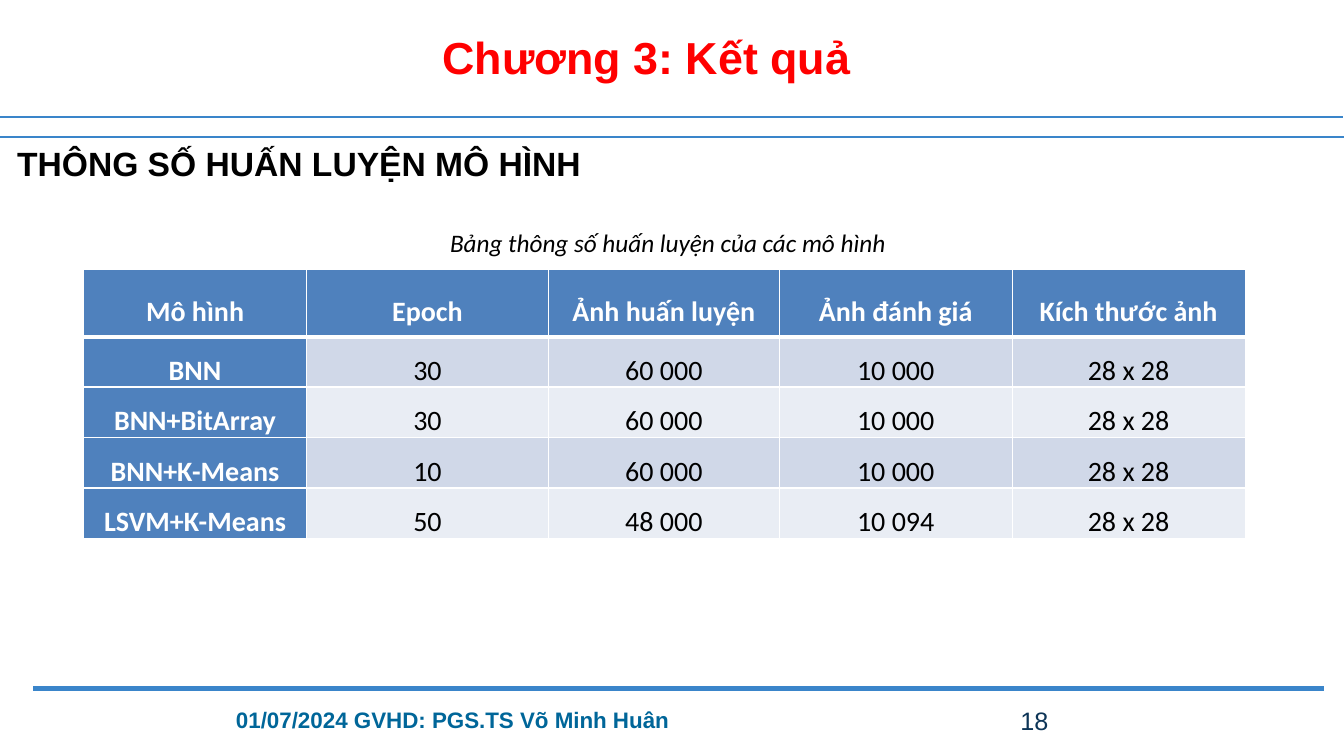
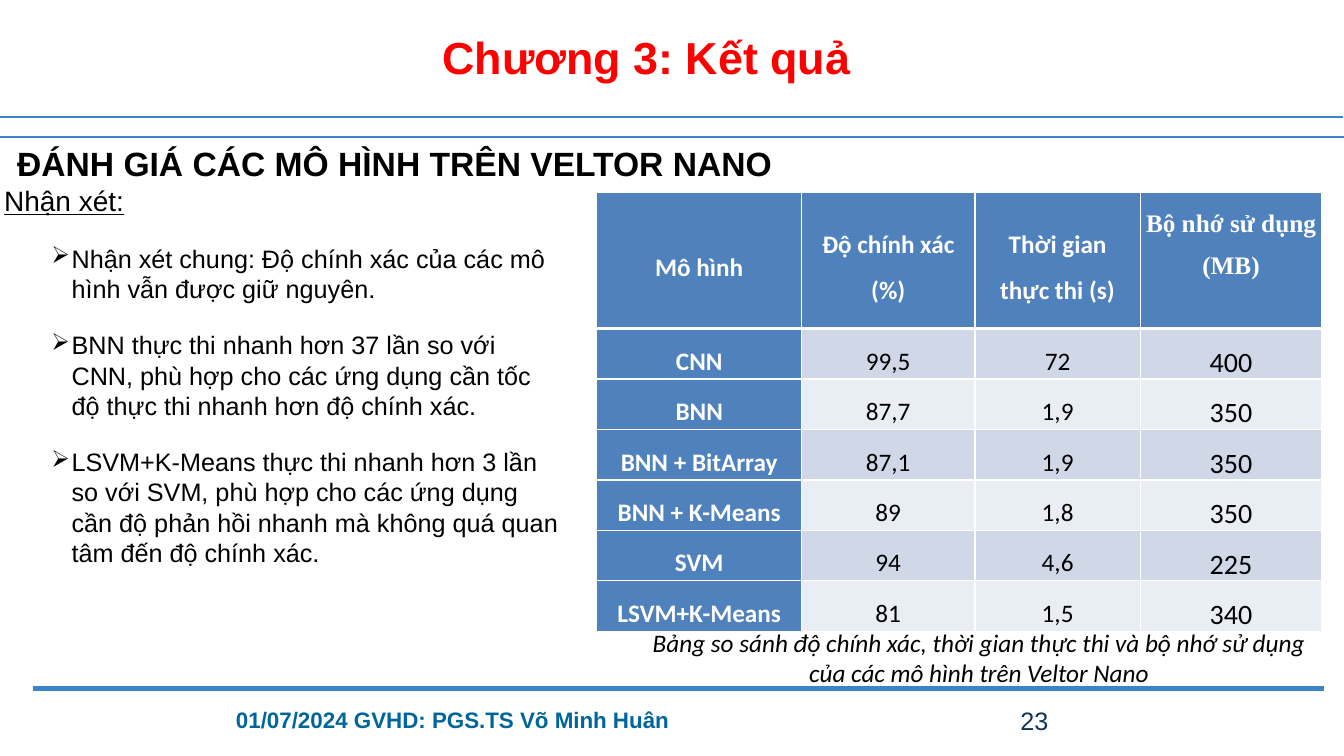
import pptx
import pptx.dml.color
import pptx.enum.shapes
import pptx.enum.text
import pptx.oxml
import pptx.oxml.ns
import pptx.util

Pt = pptx.util.Pt
ALIGN = pptx.enum.text.PP_ALIGN
ANCHOR = pptx.enum.text.MSO_ANCHOR
SCALE = 9144  # EMU in one px, 100 px to the inch
SIZE = (1333, 750)

COLORS = {
    "rule": "3A85CA", "title": "FF0000", "foot": "006699", "page": "0D3557",
    "ink": "000000", "white": "FFFFFF", "head": "4F81BD",
    "odd": "D0D8E8", "even": "E9EDF4",
}

# Each style: colour, font values, paragraph values
STYLES = {
    "title": ("title", {"name": "Arial", "size": Pt(32), "bold": True},
              {"alignment": ALIGN.CENTER}),
    "topic": ("ink", {"name": "Arial", "size": Pt(24), "bold": True}, {}),
    "foot": ("foot", {"name": "Arial", "size": Pt(16), "bold": True},
             {"line_spacing": Pt(18.6)}),
    "page": ("page", {"name": "Arial", "size": Pt(18)},
             {"line_spacing": Pt(20.9)}),
    "label": ("ink", {"name": "Calibri", "size": Pt(18), "italic": True},
              {"alignment": ALIGN.CENTER, "space_before": Pt(1)}),
    "lead": ("ink", {"name": "Arial", "size": Pt(20), "underline": True},
             {"space_before": Pt(1)}),
    "point": ("ink", {"name": "Arial", "size": Pt(18)},
              {"space_before": Pt(18.6)}),
    "head": ("white", {"name": "Calibri", "bold": True},
             {"alignment": ALIGN.CENTER, "line_spacing": 1.5}),
    "cell": ("ink", {"name": "Calibri", "bold": False},
             {"alignment": ALIGN.CENTER, "line_spacing": 1.5}),
}

# Left, right, height on the slide, width in points
RULES = [(0, 1332, 116, 2), (0, 1333, 136, 2), (33, 1313, 683, 3)]
TITLE = "Chương 3: Kết quả"
FOOT = "01/07/2024 GVHD: PGS.TS Võ Minh Huân"

SLIDES = [
    {
        "page": "18",
        "topic": "THÔNG SỐ HUẤN LUYỆN MÔ HÌNH",
        "label": ("Bảng thông số huấn luyện của các mô hình", (371, 225, 583, 32)),
        "notes": [],
        "table": {
            "at": (83, 267), "cols": [221, 240, 229, 231, 231],
            "top": 67, "row": 50, "sizes": [20] * 5,
            "rows": [
                ["Mô hình", "Epoch", "Ảnh huấn luyện", "Ảnh đánh giá", "Kích thước ảnh"],
                ["BNN", "30", "60 000", "10 000", "28 x 28"],
                ["BNN+BitArray", "30", "60 000", "10 000", "28 x 28"],
                ["BNN+K-Means", "10", "60 000", "10 000", "28 x 28"],
                ["LSVM+K-Means", "50", "48 000", "10 094", "28 x 28"],
            ],
        },
    },
    {
        "page": "23",
        "topic": "ĐÁNH GIÁ CÁC MÔ HÌNH TRÊN VELTOR NANO",
        "label": ("Bảng so sánh độ chính xác, thời gian thực thi và bộ nhớ sử dụng "
                  "của các mô hình trên Veltor Nano", (642, 622, 658, 62)),
        "notes": [
            ("lead", "Nhận xét:"),
            ("point", "Nhận xét chung: Độ chính xác của các mô hình vẫn được giữ nguyên."),
            ("point", "BNN thực thi nhanh hơn 37 lần so với CNN, phù hợp cho các ứng dụng "
                      "cần tốc độ thực thi nhanh hơn độ chính xác."),
            ("point", "LSVM+K-Means thực thi nhanh hơn 3 lần so với SVM, phù hợp cho các "
                      "ứng dụng cần độ phản hồi nhanh mà không quá quan tâm đến độ chính xác."),
        ],
        "table": {
            "at": (592, 191), "cols": [203, 172, 164, 180],
            "top": 135, "row": 50, "sizes": [18, 18, 18, 20],
            "serif": 3,
            "rows": [
                ["Mô hình", "Độ chính xác (%)", "Thời gian\nthực thi (s)",
                 "Bộ nhớ sử dụng (MB)"],
                ["CNN", "99,5", "72", "400"],
                ["BNN", "87,7", "1,9", "350"],
                ["BNN + BitArray", "87,1", "1,9", "350"],
                ["BNN + K-Means", "89", "1,8", "350"],
                ["SVM", "94", "4,6", "225"],
                ["LSVM+K-Means", "81", "1,5", "340"],
            ],
        },
    },
]


def px(*vals):
    return [pptx.util.Emu(val * SCALE) for val in vals]


def rgb(name):
    return pptx.dml.color.RGBColor.from_string(COLORS[name])


def apply(thing, values):
    for key, val in values.items():
        setattr(thing, key, val)


def add_node(root, xml):
    """Append an XML element, written with the a: prefix, to root."""
    start, rest = xml.split(" ", 1)
    node = f"{start} {pptx.oxml.ns.nsdecls('a')} {rest}"
    root.append(pptx.oxml.parse_xml(node))


def add_bullet(para):
    props = para._p.get_or_add_pPr()
    left, hang = px(67, -20)
    props.set("marL", str(left))
    props.set("indent", str(hang))
    add_node(props, '<a:buSzPct val="94000"/>')
    add_node(props, '<a:buChar char="➢"/>')


def write(frame, parts, **extra):
    """Fill a text frame with (style, text) paragraphs; extra overrides the font."""
    for num, (style, text) in enumerate(parts):
        para = frame.add_paragraph() if num else frame.paragraphs[0]
        color, font, layout = STYLES[style]
        run = para.add_run()
        run.text = text
        apply(run.font, font | extra)
        run.font.color.rgb = rgb(color)
        apply(para, layout)
        if style == "point":
            add_bullet(para)


def add_text(slide, box, *parts):
    frame = slide.shapes.add_textbox(*px(*box)).text_frame
    apply(frame, {"word_wrap": True, "margin_left": 0, "margin_right": 0,
                  "margin_top": 0, "margin_bottom": 0})
    write(frame, parts)


def add_rule(slide, left, right, y, width):
    kind = pptx.enum.shapes.MSO_CONNECTOR.STRAIGHT
    line = slide.shapes.add_connector(kind, *px(left, y, right, y))
    line.line.color.rgb = rgb("rule")
    line.line.width = Pt(width)
    add_node(line._element.spPr, "<a:effectLst />")


def add_frame(slide, data):
    """Draw the rules, title, topic and footer that all slides share."""
    for rule in RULES:
        add_rule(slide, *rule)
    add_text(slide, (433, 29, 417, 54), ("title", TITLE))
    add_text(slide, (17, 142, 883, 40), ("topic", data["topic"]))
    add_text(slide, (234, 701, 450, 27), ("foot", FOOT))
    add_text(slide, (1012, 701, 33, 31), ("page", data["page"]))


def add_edges(cell, row):
    props = cell._tc.get_or_add_tcPr()
    thick = {"T": row == 1, "B": row == 0}
    for side in "LRTB":
        width = Pt(3 if thick.get(side) else 1)
        add_node(props, f'<a:ln{side} w="{width}"><a:solidFill>'
                        f'<a:srgbClr val="{COLORS["white"]}"/>'
                        f'</a:solidFill></a:ln{side}>')


def add_table(slide, at, cols, top, row, sizes, rows, serif=None):
    """Build a table; serif is the column whose heading is set in a serif font."""
    highs = [top] + [row] * (len(rows) - 1)
    box = px(*at, sum(cols), sum(highs))
    table = slide.shapes.add_table(len(rows), len(cols), *box).table
    for col, wide in zip(table.columns, px(*cols)):
        col.width = wide
    for line, high in zip(table.rows, px(*highs)):
        line.height = high
    side, rise = px(4, 4)
    for r, texts in enumerate(rows):
        for c, text in enumerate(texts):
            cell = table.cell(r, c)
            head = r == 0 or c == 0
            apply(cell, {"margin_left": side, "margin_right": side, "margin_top": 0,
                         "margin_bottom": 0, "vertical_anchor": ANCHOR.MIDDLE})
            extra = {"size": Pt(sizes[c])}
            if r == 0 and c == serif:
                extra = {"size": Pt(18), "name": "Times New Roman"}
                apply(cell, {"vertical_anchor": ANCHOR.TOP, "margin_top": rise})
            style = "head" if head else "cell"
            write(cell.text_frame, [(style, part) for part in text.split("\n")], **extra)
            add_edges(cell, r)
            cell.fill.solid()
            cell.fill.fore_color.rgb = rgb("head" if head else "odd" if r % 2 else "even")


def main():
    deck = pptx.Presentation()
    deck.slide_width, deck.slide_height = px(*SIZE)
    for data in SLIDES:
        slide = deck.slides.add_slide(deck.slide_layouts[6])
        add_frame(slide, data)
        if data["notes"]:
            add_text(slide, (4, 182, 555, 448), *data["notes"])
        add_table(slide, **data["table"])
        text, box = data["label"]
        add_text(slide, box, ("label", text))
    deck.save("out.pptx")


if __name__ == "__main__":
    main()
